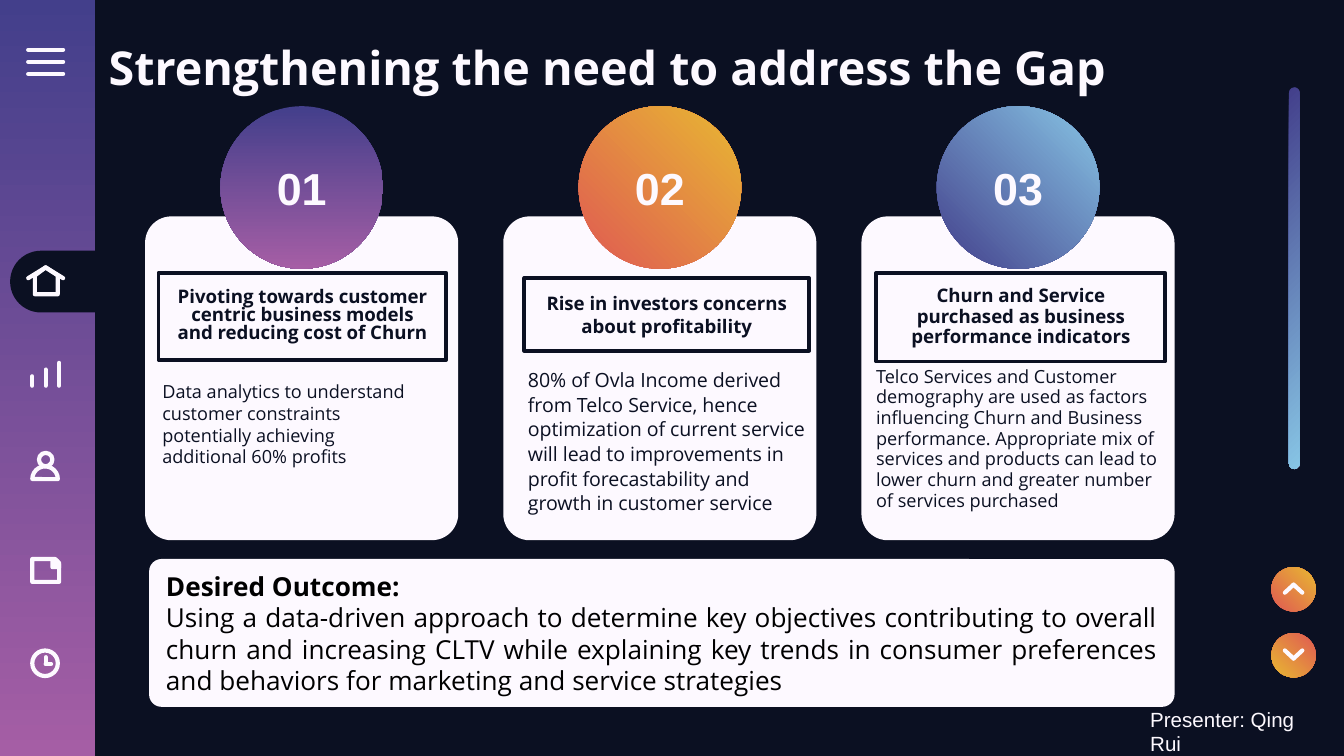
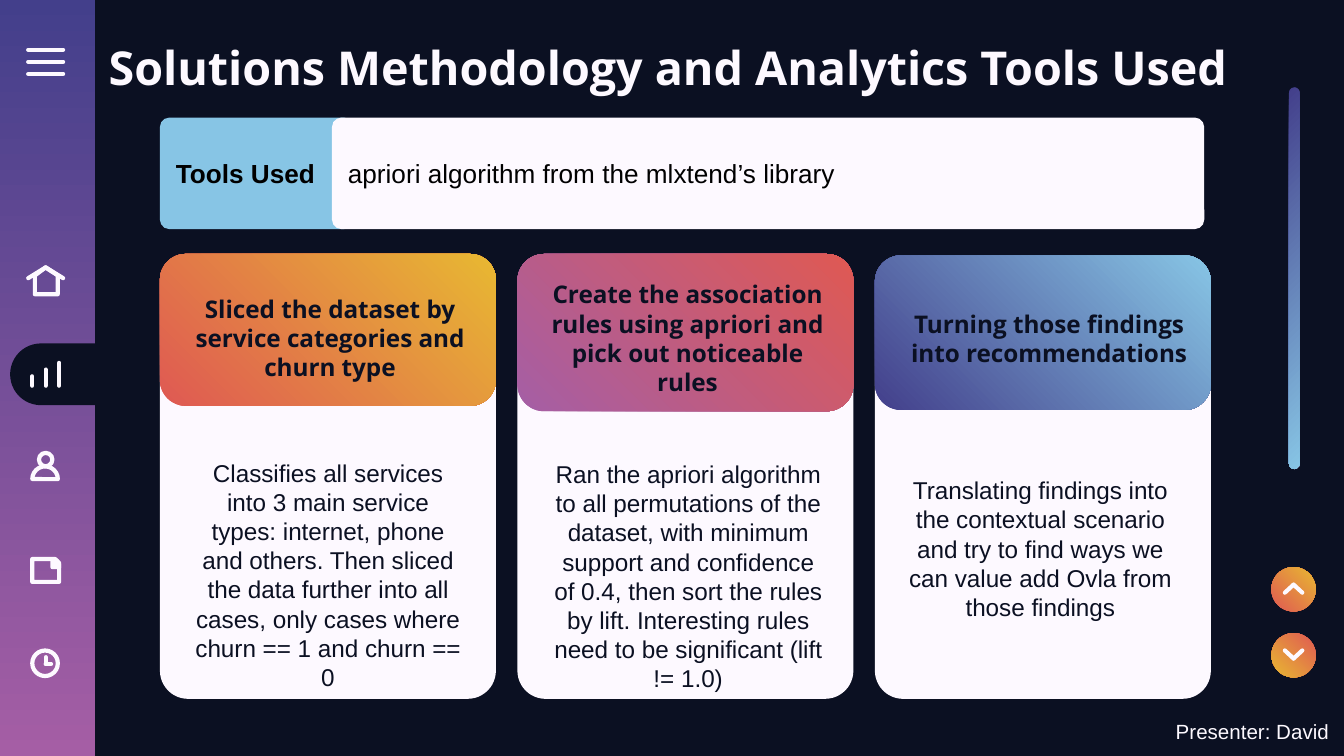
"""Build two dark slides on customer churn, with a shared navigation sidebar."""
from lxml.etree import SubElement
from pptx import Presentation
from pptx.dml.color import RGBColor
from pptx.enum.shapes import MSO_CONNECTOR, MSO_SHAPE as Shape
from pptx.enum.text import MSO_ANCHOR as Anchor, PP_ALIGN as Align
from pptx.oxml.ns import qn
from pptx.util import Inches, Pt

CELL = Inches(0.1)
COLUMNS, ROWS = 100, 56.25
SIDEBAR = 7.1
COLORS = {
    "night": "0B1022", "white": "FDF9FF", "black": "000000", "indigo": "433F8B",
    "purple": "A55EA5", "red": "DF5953", "amber": "E8B832", "sky": "87C5E5",
}
DUSK, SUNRISE = ("indigo", "purple"), ("red", "amber")
OCEAN, BERRY = ("indigo", "sky"), ("purple", "red")
DOWN, UP_RIGHT = 270, 45
SANS, PLAIN = "Open Sans", "Arial"
CARD_ROUNDING = 0.084


def cells(*counts):
    """Turn counts of grid cells into lengths."""
    return [round(count * CELL) for count in counts]


def rgb(name):
    """Look up a palette colour."""
    return RGBColor.from_string(COLORS[name])


def paint(shape, fill, angle=UP_RIGHT):
    """Fill a shape with a colour, a pair of gradient colours or nothing."""
    if fill is None:
        shape.fill.background()
    elif isinstance(fill, tuple):
        shape.fill.gradient()
        shape.fill.gradient_angle = angle
        for stop, name in zip(shape.fill.gradient_stops, fill):
            stop.color.rgb = rgb(name)
    else:
        shape.fill.solid()
        shape.fill.fore_color.rgb = rgb(fill)


def outline(shape, color="white", width=2.25):
    """Give a shape or connector a line with round ends and corners."""
    shape.line.color.rgb = rgb(color)
    shape.line.width = Pt(width)
    line = shape._element.spPr.find(qn("a:ln"))
    line.set("cap", "rnd")
    SubElement(line, qn("a:round"))


def add_block(shapes, kind, place, fill=None, angle=UP_RIGHT, adjust=(), turn=0):
    """Add a flat preset shape without a line."""
    block = shapes.add_shape(kind, *cells(*place))
    block.shadow.inherit = False
    for index, value in enumerate(adjust):
        block.adjustments[index] = value
    block.rotation = turn
    paint(block, fill, angle)
    block.line.fill.background()
    return block


def add_card(page, place, fill="white", rounding=CARD_ROUNDING):
    """Add a rounded card."""
    return add_block(page.shapes, Shape.ROUNDED_RECTANGLE, place, fill, adjust=[rounding])


def write(box, paras, size, font=SANS, color="night", align=Align.LEFT,
          anchor=Anchor.MIDDLE, spacing=None, after=None):
    """Write paragraphs, given as pairs of text and boldness, into a box."""
    frame = box.text_frame
    frame.word_wrap = True
    frame.vertical_anchor = anchor
    frame.margin_left = frame.margin_right = CELL
    frame.margin_top = frame.margin_bottom = CELL
    for index, (text, bold) in enumerate(paras):
        para = frame.add_paragraph() if index else frame.paragraphs[0]
        para.alignment = align
        para.line_spacing = spacing
        para.space_after = Pt(after) if after else None
        span = para.add_run()
        span.text = text
        span.font.name, span.font.size, span.font.bold = font, Pt(size), bold
        span.font.color.rgb = rgb(color)


def add_label(page, place, text, size, bold=False, **style):
    """Add a text box with one paragraph."""
    write(page.shapes.add_textbox(*cells(*place)), [(text, bold)], size, **style)


def new_group(page):
    """Open a group for one icon."""
    return page.shapes.add_group_shape().shapes


def add_strokes(shapes, *strokes):
    """Draw straight strokes, each given by its two ends."""
    for ends in strokes:
        stroke = shapes.add_connector(MSO_CONNECTOR.STRAIGHT, *cells(*ends))
        outline(stroke)
        SubElement(stroke._element.spPr, qn("a:effectLst"))


def add_outlined(shapes, kind, place, **look):
    """Add an unfilled icon part with a line."""
    outline(add_block(shapes, kind, place, **look))


def add_polygon(shapes, points, fill=None):
    """Add a closed outline through the given points."""
    first, *others = [cells(*point) for point in points]
    builder = shapes.build_freeform(*first)
    builder.add_line_segments(others, close=True)
    polygon = builder.convert_to_shape()
    polygon.shadow.inherit = False
    paint(polygon, fill)
    outline(polygon)


def add_icons(page):
    """Draw the six sidebar icons: menu, home, chart, person, note and clock."""
    add_strokes(new_group(page), *[(2.1, row, 4.7, row) for row in (3.7, 4.6, 5.5)])
    home = new_group(page)
    add_strokes(home, (2.1, 20.7, 3.4, 19.9), (4.7, 20.7, 3.4, 19.9))
    add_polygon(home, [(2.6, 20.5), (2.6, 21.9), (4.3, 21.9), (4.3, 20.5), (3.4, 19.9)])
    add_strokes(new_group(page), *[(2.4 + i, 28 - i / 2, 2.4 + i, 28.7) for i in range(3)])
    person = new_group(page)
    add_outlined(person, Shape.OVAL, (2.9, 33.7, 1, 1))
    add_outlined(person, Shape.PIE, (2.4, 34.7, 1.9, 1.9), adjust=[54.33, 162], turn=90)
    note = new_group(page)
    add_outlined(note, Shape.SNIP_1_RECTANGLE, (2.4, 41.6, 2, 1.7), adjust=[0.17])
    add_polygon(note, [(3.9, 41.7), (4.2, 41.7), (4.4, 42), (4.4, 42.2), (3.9, 42.2)], "white")
    clock = new_group(page)
    add_outlined(clock, Shape.OVAL, (2.4, 48.4, 1.9, 1.9))
    add_strokes(clock, (3.4, 48.9, 3.4, 49.4), (3.8, 49.4, 3.4, 49.4))


def add_scroll_button(page, top, tip, tail, turn):
    """Add a round button with a chevron."""
    add_block(page.shapes, Shape.OVAL, (94.6, top, 3.3, 3.3), SUNRISE, turn=turn)
    add_strokes(new_group(page), *[(96.25, tip, side, tail) for side in (95.6, 96.9)])


def add_page(deck, title, active, presenter, footer):
    """Start a slide with its frame, the active tab, title and presenter."""
    page = deck.slides.add_slide(deck.slide_layouts[6])
    paint(page.background, "night")
    add_block(page.shapes, Shape.RECTANGLE, (0, 0, SIDEBAR, ROWS), DUSK, DOWN)
    add_block(page.shapes, Shape.ROUNDED_RECTANGLE, (82.1, 20.3, 28.4, 0.8), OCEAN,
              adjust=[0.5], turn=90)
    add_block(page.shapes, Shape.ROUND_2_SAME_RECTANGLE, (2, 17.4 + 6.9 * active, 4.6, 7.1),
              "night", adjust=[0.5, 0], turn=270)
    add_icons(page)
    add_scroll_button(page, 47.1, 49, 48.4, 180)
    add_scroll_button(page, 42.2, 43.5, 44.1, 0)
    add_label(page, (SIDEBAR, 1.9, COLUMNS - SIDEBAR, 6.3), title, 25, True,
              color="white", anchor=Anchor.TOP)
    add_label(page, footer, f"Presenter: {presenter}", 11, font=PLAIN, color="white")
    return page


def add_gap_slide(deck):
    """Build the slide with three numbered reasons and the desired outcome."""
    page = add_page(deck, "Strengthening the need to address the Gap", 0, "Qing Rui",
                    (84.6, 52.8, 15.4, 3.2))
    outcome = add_card(page, (11.1, 41.6, 76.3, 11))
    write(outcome, [
        ("Desired Outcome:", True),
        ("Using a data-driven approach to determine key objectives contributing to overall "
         "churn and increasing CLTV while explaining key trends in consumer preferences and "
         "behaviors for marketing and service strategies", False),
    ], 14, color="black", align=Align.JUSTIFY)
    reasons = [
        (DUSK, DOWN, "Pivoting towards customer centric business models and reducing cost of Churn",
         (11.8, 20.3, 21.4, 6.5), 0.8,
         "Data analytics to understand customer constraints potentially achieving additional "
         "60% profits",
         (11.1, 26.1, 21.4, 10.9), 9.7, None, Anchor.MIDDLE),
        (SUNRISE, UP_RIGHT, "Rise in investors concerns about profitability",
         (39, 20.7, 21.2, 5.4), None,
         "80% of Ovla Income derived from Telco Service, hence optimization of current service "
         "will lead to improvements in profit forecastability and growth in customer service",
         (38.3, 26.3, 23.3, 15.3), 10.5, 1.05, Anchor.TOP),
        (OCEAN, UP_RIGHT, "Churn and Service purchased as business performance indicators",
         (65.2, 20.3, 21.5, 6.6), 0.9,
         "Telco Services and Customer demography are used as factors influencing Churn and "
         "Business performance. Appropriate mix of services and products can lead to lower "
         "churn and greater number of services purchased",
         (64.2, 26.3, 23.3, 15.3), 9.7, 0.95, Anchor.TOP),
    ]
    for index, reason in enumerate(reasons):
        fill, angle, heading, frame, leading, body, place, size, spacing, anchor = reason
        shift = 26.65 * index
        add_card(page, (10.8 + shift, 16.1, 23.3, 24.1))
        box = add_block(page.shapes, Shape.RECTANGLE, frame, "white")
        outline(box, "night", 2)
        write(box, [(heading, True)], 10, align=Align.CENTER, spacing=leading)
        add_label(page, place, body, size, spacing=spacing, anchor=anchor, after=16)
        circle = add_block(page.shapes, Shape.OVAL, (16.4 + shift, 7.9, 12.1, 12.1), fill, angle)
        write(circle, [(f"{index + 1:02}", True)], 24, PLAIN, "white", Align.CENTER)


def add_method_slide(deck):
    """Build the slide with the tool used and three method steps."""
    page = add_page(deck, "Solutions Methodology and Analytics Tools Used", 1, "David",
                    (86.5, 52.8, 14.4, 3.3))
    tools = [
        ("Tools Used", True, (11.9, 8.75, 14.4, 8.3), "sky"),
        ("apriori algorithm from the mlxtend’s library", False, (24.7, 8.75, 64.9, 8.3), "white"),
    ]
    for text, bold, place, fill in tools:
        write(add_card(page, place, fill), [(text, bold)], 14, PLAIN, "black")
    steps = [
        (SUNRISE, 18.9, 11.3, "Sliced the dataset by service categories and churn type", 12.9,
         "Classifies all services into 3 main service types: internet, phone and others. Then "
         "sliced the data further into all cases, only cases where churn == 1 and churn == 0",
         (13.4, 31.2, 22, 23.1)),
        (BERRY, 18.9, 11.7,
         "Create the association rules using apriori and pick out noticeable rules", 39.5,
         "Ran the apriori algorithm to all permutations of the dataset, with minimum support "
         "and confidence of 0.4, then sort the rules by lift. Interesting rules need to be "
         "significant (lift != 1.0)",
         (40.2, 31.3, 22, 23.1)),
        (OCEAN, 19, 11.5, "Turning those findings into recommendations", 66.4,
         "Translating findings into the contextual scenario and try to find ways we can value "
         "add Ovla from those findings",
         (66.6, 31.2, 21.6, 19.2)),
    ]
    for index, (fill, top, height, heading, left, body, place) in enumerate(steps):
        column = 11.9 + 26.6 * index
        add_card(page, (column, 19.1, 25, 32.9))
        add_card(page, (column, top, 25, height), fill, 0.17)
        add_label(page, (left, 19.1, 23.3, 12.1), heading, 13, True, align=Align.CENTER)
        add_label(page, place, body, 13, font=PLAIN, align=Align.CENTER, after=16)


def main():
    """Build and save the deck."""
    deck = Presentation()
    deck.slide_width, deck.slide_height = cells(COLUMNS, ROWS)
    add_gap_slide(deck)
    add_method_slide(deck)
    deck.save("out.pptx")


if __name__ == "__main__":
    main()
